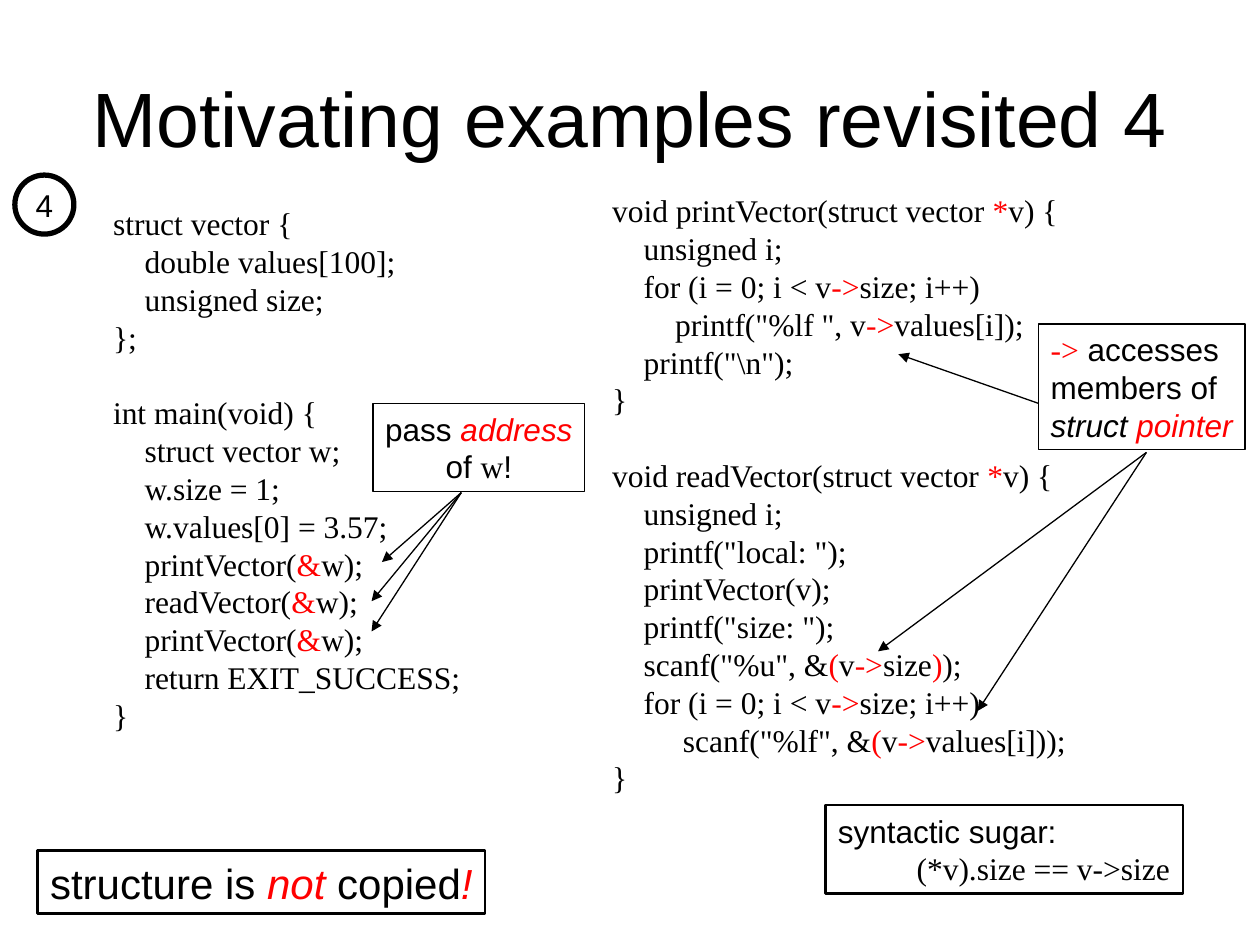
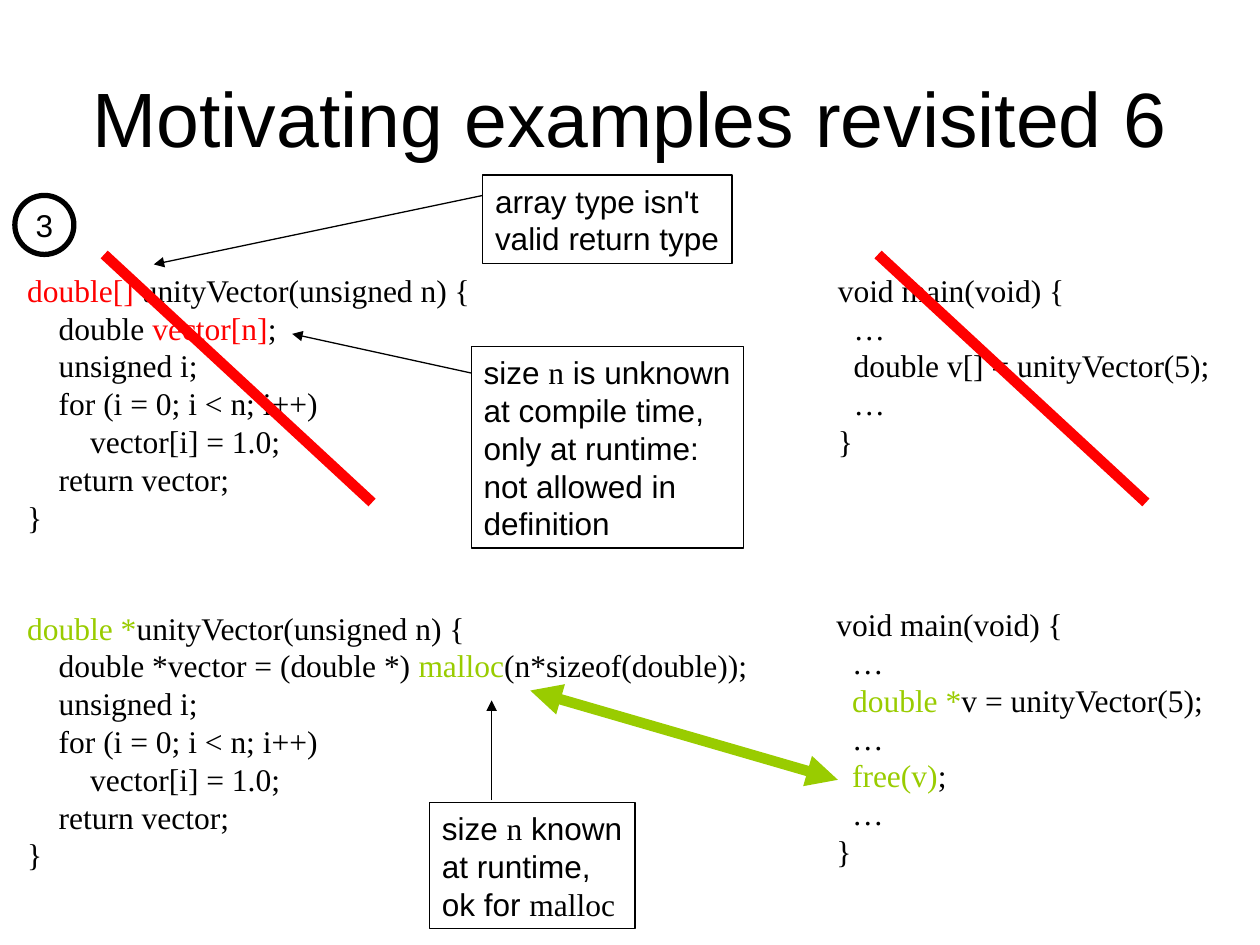
from dataclasses import dataclass
from functools import partial

from lxml.etree import SubElement
from pptx import Presentation
from pptx.dml.color import RGBColor
from pptx.enum.shapes import MSO_CONNECTOR, MSO_SHAPE
from pptx.enum.text import MSO_ANCHOR, PP_ALIGN
from pptx.oxml.ns import qn
from pptx.util import Cm, Pt

BLACK, WHITE, RED, GREEN = "000000", "FFFFFF", "FF0000", "99CC00"
BODY, CODE = "Arial", "Times New Roman"
TITLE_BOX = (1.27, 0.76, 22.86, 3.18)
BADGE_LEFT, BADGE_SIZE = 0.3, 1.19
SPACE = 0.25  # width of one code space, as a share of the text size
LEADING = 1.2
MARGIN = 0.25
GAP = None  # stands between two blocks of code


@dataclass
class Run:
    text: str
    color: str = BLACK
    font: str = ""
    italic: bool = False


red = partial(Run, color=RED)
green = partial(Run, color=GREEN)
code = partial(Run, font=CODE)


def line(indent, *runs):
    """A line of text, indented by a number of spaces."""
    return indent, [Run(r) if isinstance(r, str) else r for r in runs]


def rgb(color):
    return RGBColor.from_string(color)


def write(sp, lines, size=18, font=BODY, align=PP_ALIGN.LEFT,
          anchor=MSO_ANCHOR.TOP, wrap=False, margin_right=MARGIN):
    tf = sp.text_frame
    tf.word_wrap = wrap
    tf.vertical_anchor = anchor
    tf.margin_left, tf.margin_right = Cm(MARGIN), Cm(margin_right)
    tf.margin_top = tf.margin_bottom = Cm(0.13)
    p, gap = None, False
    for item in lines:
        if item is GAP:
            gap = True
            continue
        p = tf.add_paragraph() if p else tf.paragraphs[0]
        p.alignment = align
        p.line_spacing = Pt(LEADING * size)
        if gap:
            p.space_before = Pt(LEADING * size)
        gap = False
        indent, runs = item
        if indent:
            pPr = p._p.get_or_add_pPr()
            pPr.set("marL", str(Pt(indent * SPACE * size)))
            pPr.set("indent", "0")
        for run in runs:
            r = p.add_run()
            r.text = run.text
            r.font.size = Pt(size)
            r.font.name = run.font or font
            r.font.italic = run.italic
            r.font.color.rgb = rgb(run.color)


def text_box(s, box, lines, **style):
    write(s.shapes.add_textbox(*map(Cm, box)), lines, wrap=True, **style)


def listing(s, box, lines):
    """Code text; it may run to the right edge, so that no line breaks."""
    text_box(s, box, lines, font=CODE, margin_right=0)


def framed(s, kind, box, lines, weight, fill=None, **style):
    sp = s.shapes.add_shape(kind, *map(Cm, box))
    sp.shadow.inherit = False
    if fill:
        sp.fill.solid()
        sp.fill.fore_color.rgb = rgb(fill)
    else:
        sp.fill.background()
    sp.line.color.rgb = rgb(BLACK)
    sp.line.width = Pt(weight)
    write(sp, lines, **style)


def connect(s, start, end, color=BLACK, weight=0.75, heads=("tailEnd",)):
    c = s.shapes.add_connector(MSO_CONNECTOR.STRAIGHT, *map(Cm, start + end))
    c.line.color.rgb = rgb(color)
    c.line.width = Pt(weight)
    spPr = c._element.spPr
    for head in heads:
        SubElement(spPr.find(qn("a:ln")), qn("a:" + head), type="triangle")
    SubElement(spPr, qn("a:effectLst"))


def callout(s, box, lines, arrows=(), weight=0.75, **style):
    """A framed note; each arrow is an offset in the box and the tips it points to."""
    framed(s, MSO_SHAPE.RECTANGLE, box, lines, weight, **style)
    for (dx, dy), tips in arrows:
        for tip in tips:
            connect(s, (box[0] + dx, box[1] + dy), tip)


def strike_out(s, left, top):
    connect(s, (left, top), (left + 5.4, top + 5), RED, 6, heads=())


def example_slide(prs, number, badge, badge_top):
    s = prs.slides.add_slide(prs.slide_layouts[6])
    text_box(s, TITLE_BOX, [line(0, f"Motivating examples revisited {number}")],
             size=44, align=PP_ALIGN.CENTER, anchor=MSO_ANCHOR.MIDDLE)
    framed(s, MSO_SHAPE.OVAL, (BADGE_LEFT, badge_top, BADGE_SIZE, BADGE_SIZE),
           [line(0, badge)], 3, fill=WHITE,
           align=PP_ALIGN.CENTER, anchor=MSO_ANCHOR.MIDDLE)
    return s


def struct_slide(prs):
    s = example_slide(prs, 4, "4", 3.53)
    print_call = line(4, "printVector(", red("&"), "w);")
    listing(s, (2.03, 3.99, 7.49, 10.92), [
        line(0, "struct vector {"),
        line(4, "double values[100];"),
        line(4, "unsigned size;"),
        line(0, "};"),
        GAP,
        line(0, "int main(void) {"),
        line(4, "struct vector w;"),
        line(4, "w.size = 1;"),
        line(4, "w.values[0] = 3.57;"),
        print_call,
        line(4, "readVector(", red("&"), "w);"),
        print_call,
        line(4, "return EXIT_SUCCESS;"),
        line(0, "}"),
    ])
    loop = line(4, "for (i = 0; i < v", red("->"), "size; i++)")
    listing(s, (12.09, 3.73, 11, 12.45), [
        line(0, "void printVector(struct vector ", red("*"), "v) {"),
        line(4, "unsigned i;"),
        loop,
        line(8, 'printf("%lf ", v', red("->"), "values[i]);"),
        line(4, r'printf("\n");'),
        line(0, "}"),
        GAP,
        line(0, "void readVector(struct vector ", red("*"), "v) {"),
        line(4, "unsigned i;"),
        line(4, 'printf("local: ");'),
        line(4, "printVector(v);"),
        line(4, 'printf("size: ");'),
        line(4, 'scanf("%u", &', red("("), "v", red("->"), "size", red(")"), ");"),
        loop,
        line(9, 'scanf("%lf", &', red("("), "v", red("->"), "values[i]));"),
        line(0, "}"),
    ])
    callout(s, (0.76, 17.15, 9.02, 1.27), [
        line(0, "structure is ", red("not", italic=True), " copied",
             red("!", italic=True)),
    ], weight=1.5, size=24)
    callout(s, (7.52, 8.13, 4.27, 1.78), [
        line(0, "pass ", red("address", italic=True)),
        line(0, "of ", code("w"), "!"),
    ], [((1.78, 1.8), [(7.7, 11.33), (7.49, 12.12), (7.49, 12.73)])],
        align=PP_ALIGN.CENTER)
    callout(s, (20.93, 6.53, 4.17, 2.54), [
        line(0, red("->", font=CODE), " accesses"),
        line(0, "members of"),
        line(0, Run("struct ", italic=True), red("pointer", italic=True)),
    ], [((0, 1.6), [(18.11, 7.14)]),
        ((2.18, 2.59), [(17.7, 13.13), (19.71, 14.33)])])
    callout(s, (16.64, 16.23, 7.21, 1.78), [
        line(0, "syntactic sugar:"),
        line(10, code("(*v).size == v->size")),
    ], weight=1.5)


def array_slide(prs):
    s = example_slide(prs, 6, "3", 3.94)
    fill_and_return = [
        line(4, "unsigned i;"),
        line(4, "for (i = 0; i < n; i++)"),
        line(8, "vector[i] = 1.0;"),
        line(4, "return vector;"),
        line(0, "}"),
    ]
    main_open, dots, close = (line(0, "void main(void) {"), line(2, "…"),
                              line(0, "}"))
    listing(s, (0.3, 5.33, 9.5, 5.59), [
        line(0, red("double[]"), " unityVector(unsigned n) {"),
        line(4, "double ", red("vector[n]"), ";"),
        *fill_and_return,
    ])
    listing(s, (0.3, 12.14, 15.01, 5.59), [
        line(0, green("double *"), "unityVector(unsigned n) {"),
        line(4, "double *vector = (double *) ", green("malloc"),
             "(n*sizeof(double));"),
        *fill_and_return,
    ])
    listing(s, (16.64, 5.33, 8.08, 4.06), [
        main_open, dots, line(2, "double v[] = unityVector(5);"), dots, close,
    ])
    listing(s, (16.61, 12.07, 7.98, 5.59), [
        main_open, dots,
        line(2, green("double *"), "v = unityVector(5);"), dots,
        line(2, green("free(v)"), ";"), dots, close,
    ])
    for left in (2.1, 17.7):
        strike_out(s, left, 5.13)
    connect(s, (10.69, 13.92), (16.89, 15.72), GREEN, 6, ("headEnd", "tailEnd"))
    callout(s, (9.73, 3.53, 5.03, 1.78), [
        line(0, "array type isn't"),
        line(0, "valid return type"),
    ], [((0, 0.41), [(3.1, 5.33)])])
    callout(s, (9.5, 6.99, 5.49, 4.06), [
        line(0, "size ", code("n"), " is unknown"),
        line(0, "at compile time,"),
        line(0, "only at runtime:"),
        line(0, "not allowed in"),
        line(0, "definition"),
    ], [((0, 0.53), [(5.89, 6.73)])])
    callout(s, (8.66, 16.18, 4.14, 2.54), [
        line(0, "size ", code("n"), " known"),
        line(0, "at runtime,"),
        line(0, "ok for ", code("malloc")),
    ], [((1.25, -0.05), [(9.91, 14.12)])])


def main():
    prs = Presentation()
    prs.slide_width, prs.slide_height = Cm(25.4), Cm(19.05)
    struct_slide(prs)
    array_slide(prs)
    prs.save("out.pptx")


if __name__ == "__main__":
    main()
